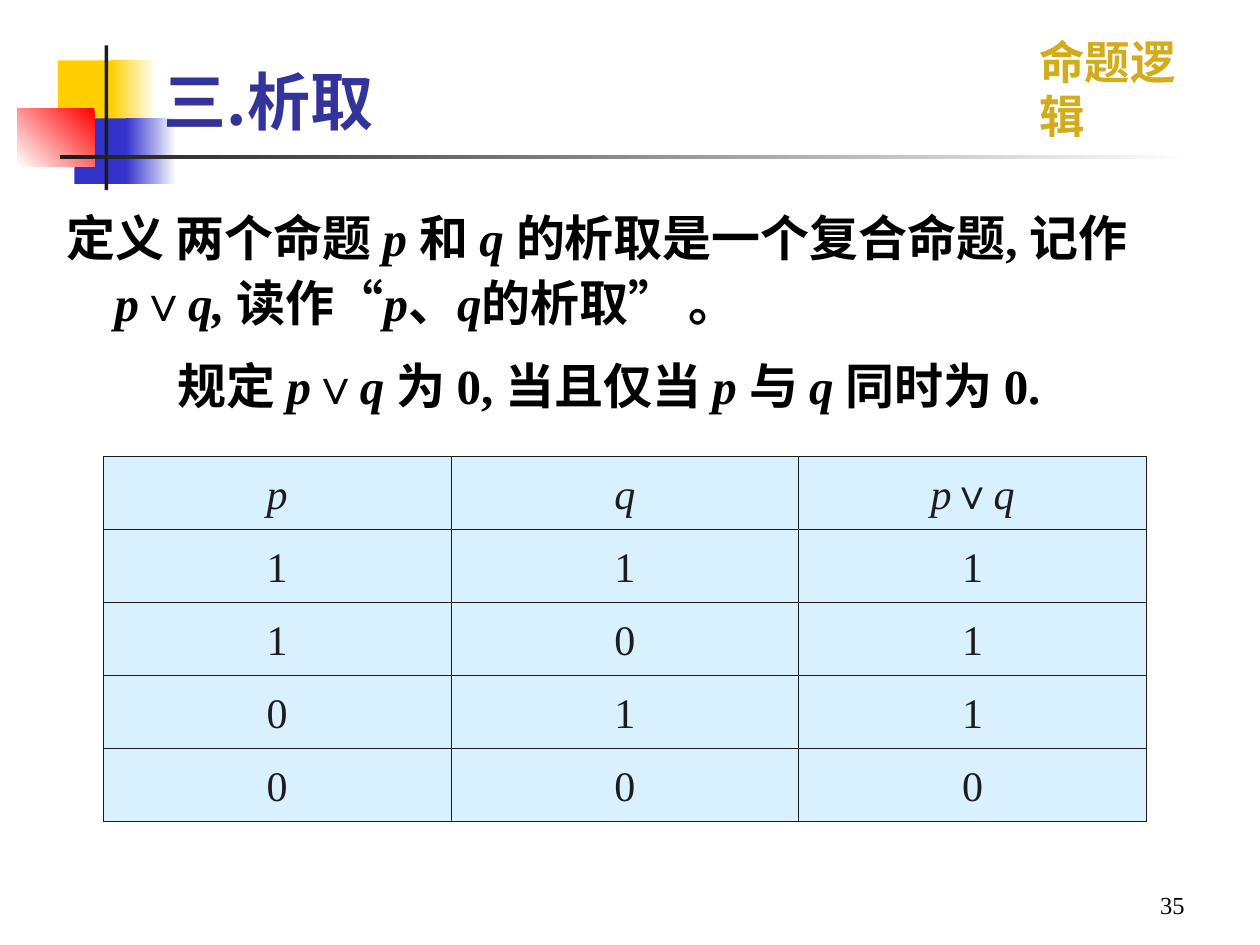
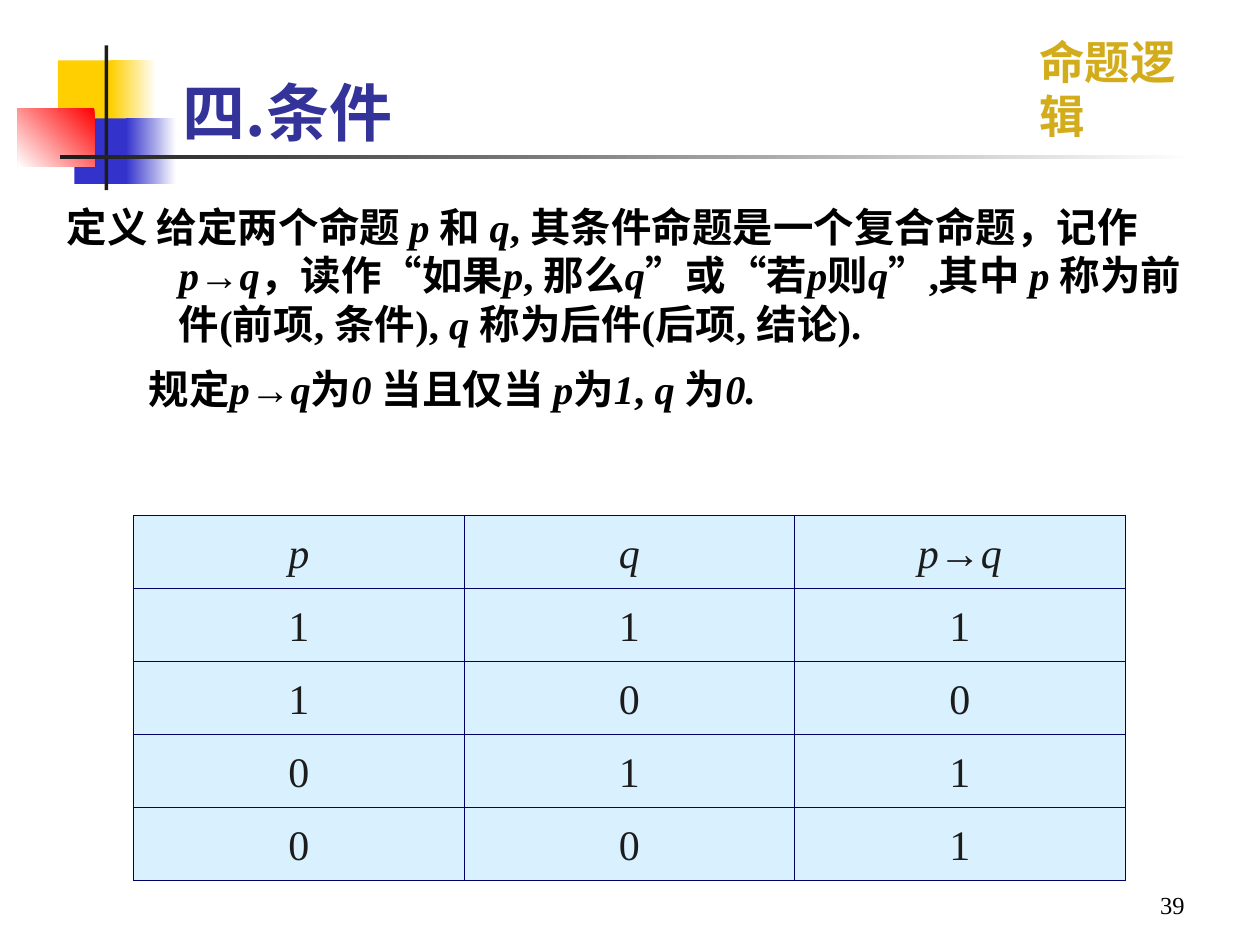
import lxml.etree
import pptx
import pptx.dml.color
import pptx.enum.shapes
import pptx.enum.text
import pptx.oxml.ns
import pptx.util

ALIGN = pptx.enum.text.PP_ALIGN
ANCHOR = pptx.enum.text.MSO_ANCHOR
qn = pptx.oxml.ns.qn
LATIN, SYMBOL, HAN = "Times New Roman", "Arial", "Noto Sans CJK SC"
BLACK, INK, NAVY, WHITE = "000000", "1C1C1C", "333399", "FFFFFF"
GOLD, YELLOW, BLUE, RED, PALE = "D3AC1B", "FFCF01", "3333CC", "FF0000", "D9F1FF"


def color(code):
    return pptx.dml.color.RGBColor.from_string(code)


def write(paragraph, text, size=24, font=LATIN, ink=BLACK, bold=False, shadow=False,
          align=ALIGN.LEFT, spacing=1.0, before=0, margin=0, indent=0):
    """Split text into runs at |; a run led by * is italic, by ^ a symbol."""
    pPr = paragraph._p.get_or_add_pPr()
    pPr.set("marL", str(pptx.util.Inches(margin)))
    pPr.set("indent", str(pptx.util.Inches(indent)))
    lxml.etree.SubElement(pPr, qn("a:buNone"))
    tabs = lxml.etree.SubElement(pPr, qn("a:tabLst"))
    for inch in range(8):
        lxml.etree.SubElement(tabs, qn("a:tab"), pos=str(pptx.util.Inches(inch)), algn="l")
    paragraph.alignment = align
    paragraph.line_spacing = spacing
    paragraph.space_before = pptx.util.Pt(before)
    for part in text.split("|"):
        run = paragraph.add_run()
        run.text = part.lstrip("*^")
        run.font.size = pptx.util.Pt(size)
        run.font.name = SYMBOL if part.startswith("^") else font
        run.font.bold = bold
        run.font.italic = part.startswith("*")
        run.font.color.rgb = color(ink)
        rPr = run._r.get_or_add_rPr()
        lxml.etree.SubElement(rPr, qn("a:ea"), typeface=HAN)
        if shadow:
            effects = lxml.etree.Element(qn("a:effectLst"))
            outer = lxml.etree.SubElement(effects, qn("a:outerShdw"), dist="17961", dir="2700000")
            lxml.etree.SubElement(outer, qn("a:srgbClr"), val=BLACK)
            rPr.find(qn("a:solidFill")).addnext(effects)


deck = pptx.Presentation()
deck.slide_width = pptx.util.Inches(10)
deck.slide_height = pptx.util.Inches(7.5)
CELL = deck.slide_width / 100
layout = deck.slide_layouts[1]
for footer in list(layout.placeholders)[2:]:
    footer._element.getparent().remove(footer._element)

emblem = [
    ((4.6, 4.8, 4.8, 5.2), [YELLOW], 0),
    ((8.8, 4.8, 3.6, 5.2), [WHITE, YELLOW], 180),
    ((5.9, 9.4, 4.6, 5.2), [BLUE], 0),
    ((10, 9.4, 4, 5.2), [WHITE, BLUE], 180),
    ((1.4, 8.6, 6.1, 4.6), [RED, WHITE], 225),
    ((8.3, 3.6, 0.3, 11.5), [INK], 0),
    ((4.8, 12.3, 90, 0.3), [WHITE, INK], 180),
]

lessons = [
    {
        "title": "三.析取", "title_area": (12, -1, 90, 12.5),
        "body_area": (4.3, 15.5, 90.6, 18.9),
        "size": 28, "spacing": 1.1, "before": 10.5, "hanging": 0.38, "rule_margin": 0.88,
        "definition": "定义 两个命题 |*p |和 |*q |的析取是一个复合命题, 记作 \t|*p|^∨|*q, |读作|^“|*p|、|*q|的析取|^”| 。",
        "rule": "规定 |*p|^∨|*q |为 0, 当且仅当 |*p |与 |*q |同时为 0.",
        "formula": "*p|^∨|*q", "truth": "1110", "border": INK,
        "table_area": (8.2, 36.2, 82.8, 29), "number": "35",
    },
    {
        "title": "四.条件", "title_area": (13.5, -0.2, 90, 12.5),
        "body_area": (4.3, 15.5, 92.1, 22),
        "size": 23.1, "spacing": 1.0, "before": 9.4, "hanging": 0.89, "rule_margin": 0.65,
        "definition": "定义 给定两个命题 |*p |和 |*q|, 其条件命题是一个复合命题，记作|*p|→|*q|，读作|^“|如果|*p|, 那么|*q|^”|"
                      "或|^“|若|*p|则|*q|^”|,其中 |*p |称为前件(前项, 条件), |*q |称为后件(后项, 结论).",
        "rule": "规定|*p|^→|*q|为|*0 |当且仅当 |*p|为|*1|, |*q |为|*0.",
        "formula": "*p→q", "truth": "1011", "border": "000066",
        "table_area": (10.6, 40.9, 78.7, 29), "number": "39",
    },
]

for index, lesson in enumerate(lessons):
    slide = deck.slides.add_slide(layout)

    if index == 0:
        for area, stops, angle in emblem:
            block = slide.shapes.add_shape(
                pptx.enum.shapes.MSO_SHAPE.RECTANGLE, *(round(unit * CELL) for unit in area))
            block.shadow.inherit = False
            block.line.fill.background()
            if len(stops) == 1:
                block.fill.solid()
                block.fill.fore_color.rgb = color(stops[0])
            else:
                block.fill.gradient()
                block.fill.gradient_angle = angle
                for stop, code in zip(block.fill.gradient_stops, stops):
                    stop.color.rgb = color(code)
            layout.shapes._spTree.append(block._element)
        course = slide.shapes.add_textbox(*(round(unit * CELL) for unit in (81.5, 2.2, 16.4, 5.4)))
        course.text_frame.word_wrap = False
        write(course.text_frame.paragraphs[0], "命题逻辑", size=26, font="Cabin", ink=GOLD, bold=True)
        course._element.nvSpPr.cNvPr.set("id", "20")
        layout.shapes._spTree.append(course._element)

    heading, body = slide.placeholders
    for holder, area, anchor in ((heading, lesson["title_area"], ANCHOR.BOTTOM),
                                 (body, lesson["body_area"], ANCHOR.TOP)):
        holder.left, holder.top, holder.width, holder.height = (round(unit * CELL) for unit in area)
        holder.text_frame.vertical_anchor = anchor
        holder.text_frame.auto_size = pptx.enum.text.MSO_AUTO_SIZE.NONE
    write(heading.text_frame.paragraphs[0], lesson["title"], size=36, font=HAN, ink=NAVY,
          bold=True, shadow=True)
    prose = {"size": lesson["size"], "spacing": lesson["spacing"], "bold": True}
    write(body.text_frame.paragraphs[0], lesson["definition"],
          margin=lesson["hanging"], indent=-lesson["hanging"], **prose)
    write(body.text_frame.add_paragraph(), lesson["rule"],
          margin=lesson["rule_margin"], before=lesson["before"], **prose)

    rows = [("*p", "*q", lesson["formula"])]
    rows += [(p, q, value) for (p, q), value in zip(("11", "10", "01", "00"), lesson["truth"])]
    truth_table = slide.shapes.add_table(
        len(rows), 3, *(round(unit * CELL) for unit in lesson["table_area"])).table
    truth_table.first_row = truth_table.horz_banding = False
    for row, values in enumerate(rows):
        for column, value in enumerate(values):
            cell = truth_table.cell(row, column)
            write(cell.text_frame.paragraphs[0], value, ink=INK, align=ALIGN.CENTER, spacing=1.2)
            tcPr = cell._tc.get_or_add_tcPr()
            for side in "LRTB":
                edge = lxml.etree.SubElement(tcPr, qn("a:ln" + side), w=str(pptx.util.Pt(0.45)))
                paint = lxml.etree.SubElement(edge, qn("a:solidFill"))
                lxml.etree.SubElement(paint, qn("a:srgbClr"), val=lesson["border"])
            cell.fill.solid()
            cell.fill.fore_color.rgb = color(PALE)

    page = slide.shapes.add_textbox(*(round(unit * CELL) for unit in (71.7, 68.3, 23.3, 5.2)))
    page.text_frame.word_wrap = True
    page.text_frame.vertical_anchor = ANCHOR.BOTTOM
    write(page.text_frame.paragraphs[0], lesson["number"], size=14, align=ALIGN.RIGHT)

deck.save("out.pptx")
